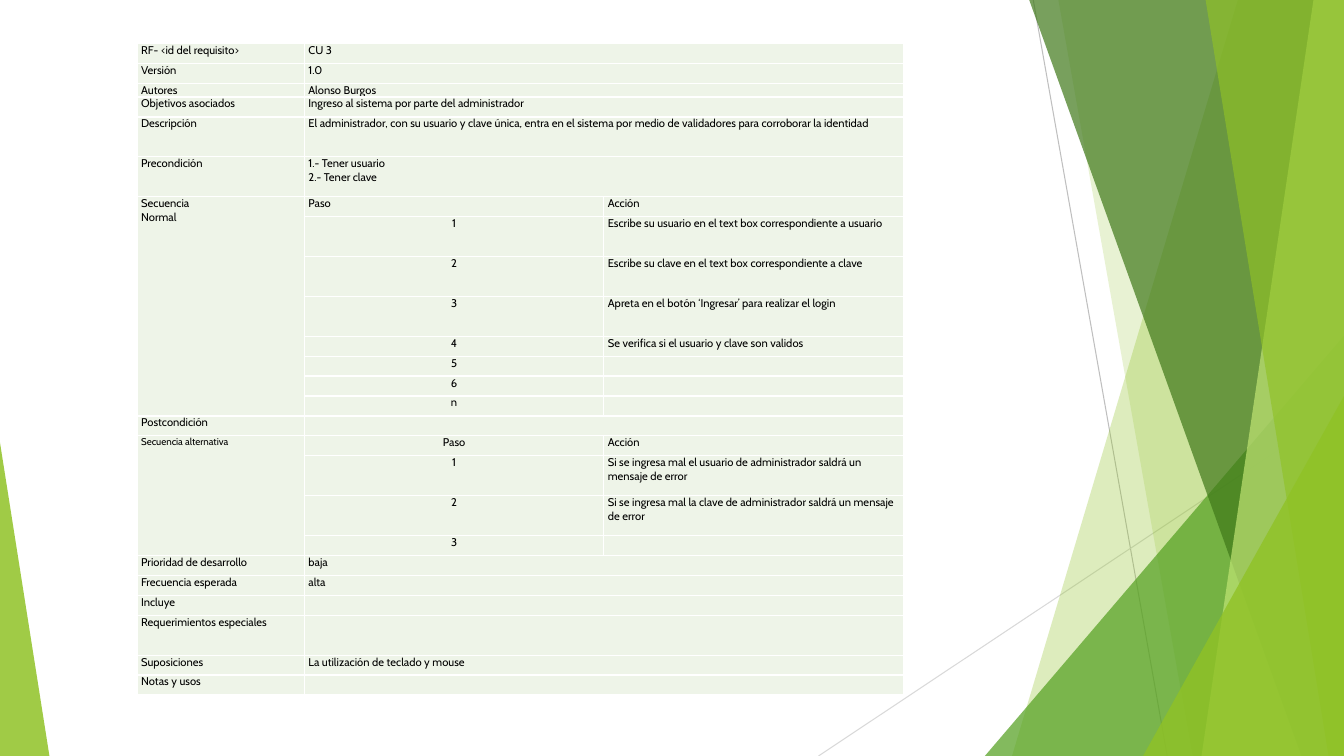
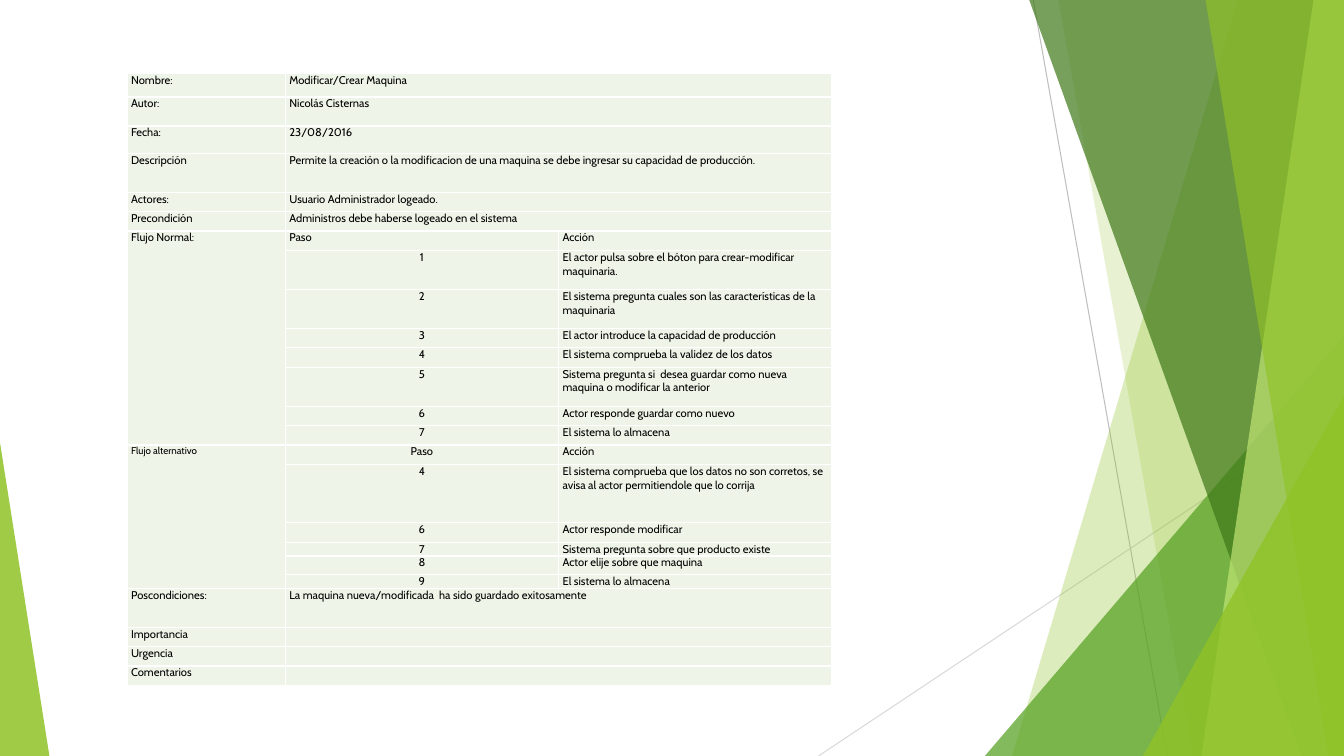
from dataclasses import dataclass

from lxml import etree
from pptx import Presentation
from pptx import util as u
from pptx.dml.color import RGBColor
from pptx.enum import shapes, text
from pptx.oxml.ns import qn


@dataclass(frozen=True)
class Theme:
    font: str = "Cabin"
    body: float = 8
    small: float = 7
    ink: str = "000000"
    cell: str = "EEF4E8"
    rule: str = "FFFFFF"
    lime: str = "90C226"
    green: str = "54A021"
    dark: str = "3F7819"
    pale: str = "C0E474"
    gray: str = "BFBFBF"
    mist: str = "D9D9D9"


T = Theme()


def field(label, value="", tall=1):
    """One row: a label and a value over both right columns; tall is in row units."""
    return [(tall, label, value, None, False)]


def flow(label, *steps, alt=False):
    """A header row and its steps (number, action, tall), all under one label."""
    rows = [(1, label, "Paso", "Acción", alt)]
    return rows + [(tall, None, step, action, True) for step, action, tall in steps]


class Deck:
    """Holds the current slide; every length is a percentage of the slide's size."""

    def __init__(self):
        self.prs = Presentation()
        self.prs.slide_width = u.Inches(13.33)
        self.prs.slide_height = u.Inches(7.5)

    def x(self, share):
        return round(self.prs.slide_width * share / 100)

    def y(self, share):
        return round(self.prs.slide_height * share / 100)

    def new(self):
        slide = self.prs.slides.add_slide(self.prs.slide_layouts[6])
        self.items = slide.shapes
        self.decor()

    def line(self, x1, y1, x2, y2, color):
        line = self.items.add_connector(
            shapes.MSO_CONNECTOR.STRAIGHT, self.x(x1), self.y(y1), self.x(x2), self.y(y2))
        line.line.color.rgb = RGBColor.from_string(color)
        line.line.width = u.Pt(0.75)
        etree.SubElement(line._element.spPr, qn("a:effectLst"))

    def paint(self, shape, color, alpha):
        shape.shadow.inherit = False
        shape.fill.solid()
        shape.fill.fore_color.rgb = RGBColor.from_string(color)
        shape.line.fill.background()
        tint = next(shape._element.spPr.iter(qn("a:srgbClr")))
        etree.SubElement(tint, qn("a:alpha"), val=str(alpha * 1000))

    def band(self, top, foot, color, alpha):
        """Full-height band from a slanted left edge to the slide's right edge."""
        shape = self.items.build_freeform(self.x(top), 0)
        shape.add_line_segments([(self.x(100), 0), (self.x(100), self.y(100)),
                                 (self.x(foot), self.y(100))])
        self.paint(shape.convert_to_shape(), color, alpha)

    def wedge(self, left, right, top, tip, color, alpha):
        """Triangle on the slide's bottom edge; tip is 0 (left) or 1 (right)."""
        shape = self.items.add_shape(
            shapes.MSO_SHAPE.ISOSCELES_TRIANGLE, self.x(left), self.y(top),
            self.x(right - left), self.y(100 - top))
        shape.adjustments[0] = tip
        self.paint(shape, color, alpha)

    def decor(self):
        self.line(76.88, 0, 86.85, 100, T.gray)
        self.line(100, 53.73, 60.9, 100, T.mist)
        self.band(92.1, 75.3, T.lime, 30)
        self.band(78.75, 88.73, T.lime, 20)
        self.wedge(73.28, 100, 44.4, 1, T.green, 72)
        self.band(76.58, 96.83, T.dark, 70)
        self.band(97.73, 89.4, T.pale, 70)
        self.band(89.7, 98.85, T.lime, 65)
        self.wedge(85.05, 100, 52.4, 1, T.lime, 80)
        self.wedge(0, 3.68, 58.53, 0, T.lime, 85)

    def style(self, cell):
        cell.margin_left = cell.margin_right = u.Inches(0.04)
        cell.margin_top = cell.margin_bottom = 0
        props = cell._tc.get_or_add_tcPr()
        for side in ("lnL", "lnR", "lnT", "lnB"):
            edge = etree.SubElement(props, qn("a:" + side), w=str(u.Pt(1)))
            fill = etree.SubElement(edge, qn("a:solidFill"))
            etree.SubElement(fill, qn("a:srgbClr"), val=T.rule)
        cell.fill.solid()
        cell.fill.fore_color.rgb = RGBColor.from_string(T.cell)
        end = cell.text_frame.paragraphs[0]._p.get_or_add_endParaRPr()
        end.set("sz", str(T.body * 100))

    def put(self, cell, words, size=T.body, center=False):
        frame = cell.text_frame
        for i, part in enumerate(words.split("\n") if words else []):
            para = frame.add_paragraph() if i else frame.paragraphs[0]
            if center:
                para.alignment = text.PP_ALIGN.CENTER
            run = para.add_run()
            run.text = part
            run.font.name = T.font
            run.font.size = u.Pt(size)
            run.font.color.rgb = RGBColor.from_string(T.ink)

    def table(self, left, top, cols, height, rows):
        unit = height / sum(row[0] for row in rows)
        grid = self.items.add_table(len(rows), len(cols), self.x(left), self.y(top),
                                    self.x(sum(cols)), self.y(height)).table
        grid.first_row = grid.horz_banding = False
        for col, width in zip(grid.columns, cols):
            col.width = self.x(width)
        for cell in grid.iter_cells():
            self.style(cell)
        for i, (tall, label, mid, action, center) in enumerate(rows):
            grid.rows[i].height = self.y(unit * tall)
            if action is None:
                grid.cell(i, 1).merge(grid.cell(i, 2))
            elif label:
                last = i
                while last + 1 < len(rows) and rows[last + 1][1] is None:
                    last += 1
                grid.cell(i, 0).merge(grid.cell(last, 0))
            self.put(grid.cell(i, 0), label, T.small if center else T.body)
            self.put(grid.cell(i, 1), mid, center=center)
            self.put(grid.cell(i, 2), action)


LOGIN = [
    *field("RF- <id del requisito>", "CU 3"),
    *field("Versión", "1.0"),
    *field("Autores", "Alonso Burgos", 0.5),
    *field("Objetivos asociados", "Ingreso al sistema por parte del administrador"),
    *field("Descripción", "El administrador, con su usuario y clave única, entra en el sistema "
           "por medio de validadores para corroborar la identidad", 2),
    *field("Precondición", "1.- Tener usuario\n2.- Tener clave", 2),
    *flow("Secuencia\nNormal",
          ("1", "Escribe su usuario en el text box correspondiente a usuario", 2),
          ("2", "Escribe su clave en el text box correspondiente a clave", 2),
          ("3", "Apreta en el botón ‘Ingresar’ para realizar el login", 2),
          ("4", "Se verifica si el usuario y clave son validos", 1),
          ("5", "", 1),
          ("6", "", 1),
          ("n", "", 1)),
    *field("Postcondición"),
    *flow("Secuencia alternativa",
          ("1", "Si se ingresa mal el usuario de administrador saldrá un mensaje de error", 2),
          ("2", "Si se ingresa mal la clave de administrador saldrá un mensaje de error", 2),
          ("3", "", 1),
          alt=True),
    *field("Prioridad de desarrollo", "baja"),
    *field("Frecuencia esperada", "alta"),
    *field("Incluye"),
    *field("Requerimientos especiales", tall=2),
    *field("Suposiciones", "La utilización de teclado y mouse"),
    *field("Notas y usos"),
]

MACHINE = [
    *field("Nombre:", "Modificar/Crear Maquina", 1.2),
    *field("Autor:", "Nicolás Cisternas", 1.5),
    *field("Fecha:", "23/08/2016", 1.4),
    *field("Descripción", "Permite la creación o la modificacion de una maquina se debe "
           "ingresar su capacidad de producción.", 2),
    *field("Actores:", "Usuario Administrador logeado."),
    *field("Precondición", "Administros debe haberse logeado en el sistema"),
    *flow("Flujo Normal:",
          ("1", "El actor pulsa sobre el bóton para crear-modificar maquinaria.", 2),
          ("2", "El sistema pregunta cuales son las características de la maquinaria", 2),
          ("3", "El actor introduce la capacidad de producción", 1),
          ("4", "El sistema comprueba la validez de los datos", 1),
          ("5", "Sistema pregunta si  desea guardar como nueva maquina o modificar "
           "la anterior", 2),
          ("6", "Actor responde guardar como nuevo", 1),
          ("7", "El sistema lo almacena", 1)),
    *flow("Flujo alternativo",
          ("4", "El sistema comprueba que los datos no son corretos, se avisa al actor "
           "permitiendole que lo corrija", 3),
          ("6", "Actor responde modificar", 1),
          ("7", "Sistema pregunta sobre que producto existe", 0.5),
          ("8", "Actor elije sobre que maquina", 0.95),
          ("9", "El sistema lo almacena", 0.02),
          alt=True),
    *field("Poscondiciones:", "La maquina nueva/modificada  ha sido guardado exitosamente", 2),
    *field("Importancia"),
    *field("Urgencia"),
    *field("Comentarios"),
]


def main():
    deck = Deck()
    deck.new()
    deck.table(10.2, 5.73, (12.45, 22.28, 22.28), 85.73, LOGIN)
    deck.new()
    deck.table(9.45, 9.73, (11.78, 20.33, 20.33), 78.67, MACHINE)
    deck.prs.save("out.pptx")


if __name__ == "__main__":
    main()
